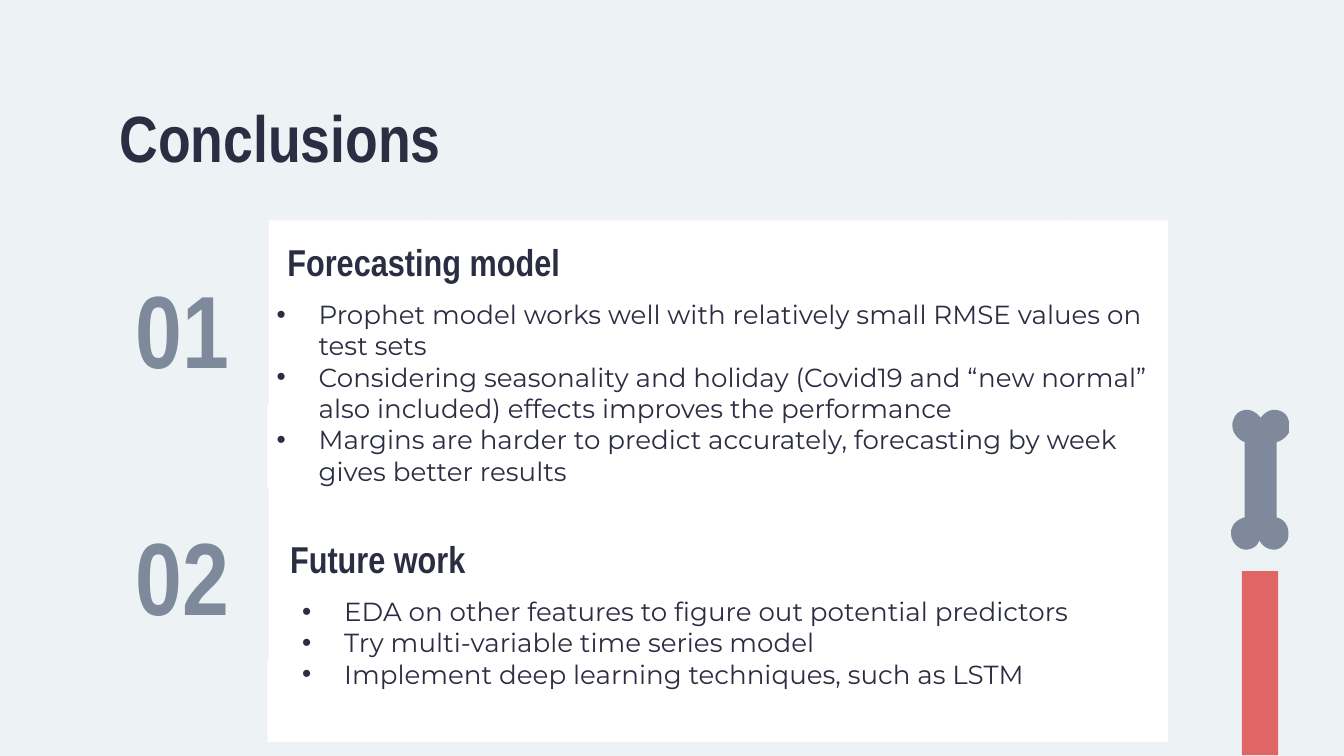
from lxml import etree
from pptx import Presentation
from pptx.dml.color import RGBColor
from pptx.enum.shapes import MSO_SHAPE
from pptx.enum.text import MSO_ANCHOR, PP_ALIGN
from pptx.oxml.ns import qn
from pptx.util import Inches, Pt

THEME = {
    "page": "EDF2F4", "panel": "FFFFFF", "ink": "2B2D42",
    "muted": "7E899C", "accent": "E06666",
    "title": {"name": "Arial Narrow", "size": Pt(35), "bold": True},
    "number": {"name": "Arial Narrow", "size": Pt(55), "bold": True},
    "heading": {"name": "Arial Narrow", "size": Pt(20), "bold": True},
    "body": {"name": "Montserrat", "size": Pt(14), "bold": False},
}

TITLE = ("Conclusions", (0.79, 0.62, 2.98, 0.62))
SECTIONS = [
    {
        "number": ("01", (0.81, 1.72, 1.09, 1.43)),
        "heading": ("Forecasting model", (2.04, 1.68, 6, 0.49)),
        "points": [
            "Prophet model works well with relatively small RMSE values on test sets",
            "Considering seasonality and holiday (Covid19 and “new normal” also included) "
            "effects improves the performance",
            "Margins are harder to predict accurately, forecasting by week gives better results",
        ],
        "points_at": (1.96, 2.12, 6.73, 0.84),
    },
    {
        "number": ("02", (0.81, 3.56, 1.09, 1.43)),
        "heading": ("Future work", (2.06, 3.89, 6.58, 0.82)),
        "points": [
            "EDA on other features to figure out potential predictors",
            "Try multi-variable time series model",
            "Implement deep learning techniques, such as LSTM",
        ],
        "points_at": (2.15, 4.33, 6.36, 0.84),
    },
]

# Each card row is a left, middle and right part; wide bands join the rows.
CARD_HEIGHT, CARD_TOPS = 1.43, (1.64, 3.48)
CARD_PARTS = [(2, 1.18), (3.16, 4.77), (7.92, 0.77)]
BAND_LEFT, BAND_WIDTH, BAND_HEIGHT = 1.99, 6.7, 0.62
BAND_TOPS = (3.01, 4.9)
BAR = (9.24, 4.25, 0.27, 1.37)

# One point is a straight side, three points are a Bézier curve.
BONE_START = (9.58, 4.02)
BONE = [
    [(9.6, 3.95), (9.58, 3.87), (9.5, 3.85)],
    [(9.5, 3.29)],
    [(9.54, 3.28), (9.57, 3.25), (9.59, 3.22)],
    [(9.59, 3.2), (9.59, 3.18), (9.59, 3.17)],
    [(9.6, 3.1), (9.55, 3.05), (9.48, 3.05)],
    [(9.44, 3.05), (9.4, 3.08), (9.38, 3.11)],
    [(9.36, 3.08), (9.32, 3.05), (9.28, 3.05)],
    [(9.23, 3.05), (9.19, 3.08), (9.18, 3.12)],
    [(9.17, 3.14), (9.17, 3.15), (9.17, 3.17)],
    [(9.17, 3.22), (9.21, 3.27), (9.26, 3.29)],
    [(9.26, 3.85)],
    [(9.22, 3.86), (9.18, 3.89), (9.17, 3.92)],
    [(9.16, 3.94), (9.16, 3.95), (9.16, 3.97)],
    [(9.16, 4.03), (9.21, 4.09), (9.27, 4.09)],
    [(9.32, 4.09), (9.36, 4.06), (9.37, 4.02)],
    [(9.39, 4.06), (9.43, 4.09), (9.48, 4.09)],
    [(9.53, 4.09), (9.56, 4.05), (9.58, 4.02)],
]
CURVE_STEPS = 8


def color(role):
    return RGBColor.from_string(THEME[role])


def paint(shape, role):
    shape.shadow.inherit = False
    shape.fill.solid()
    shape.fill.fore_color.rgb = color(role)
    shape.line.fill.background()


def add_block(page, place, role):
    block = page.shapes.add_shape(MSO_SHAPE.RECTANGLE, *map(Inches, place))
    paint(block, role)


def add_bullet(para):
    """Give the paragraph a hanging bullet."""
    properties = para._p.get_or_add_pPr()
    properties.set("marL", str(Pt(22.5)))
    properties.set("indent", str(-Pt(22.5)))
    bullet_color = etree.SubElement(properties, qn("a:buClr"))
    etree.SubElement(bullet_color, qn("a:srgbClr"), val=THEME["ink"])
    etree.SubElement(properties, qn("a:buFont"), typeface="Arial")
    etree.SubElement(properties, qn("a:buChar"), char="•")


def add_text(page, lines, place, style, role="ink", anchor=MSO_ANCHOR.TOP,
             align=PP_ALIGN.LEFT, bullets=False):
    frame = page.shapes.add_textbox(*map(Inches, place)).text_frame
    settings = {"word_wrap": True, "vertical_anchor": anchor}
    for side in ("left", "top", "right", "bottom"):
        settings[f"margin_{side}"] = Inches(0.1)
    for name, value in settings.items():
        setattr(frame, name, value)
    for index, line in enumerate(lines):
        para = frame.add_paragraph() if index else frame.paragraphs[0]
        para.alignment = align
        if bullets:
            add_bullet(para)
        span = para.add_run()
        span.text = line
        for name, value in THEME[style].items():
            setattr(span.font, name, value)
        span.font.color.rgb = color(role)


def curve_points(start, first, second, end):
    """Sample a cubic Bézier curve, leaving out its start."""
    for step in range(1, CURVE_STEPS + 1):
        t = step / CURVE_STEPS
        weights = ((1 - t) ** 3, 3 * t * (1 - t) ** 2, 3 * t * t * (1 - t), t ** 3)
        yield tuple(
            sum(weight * value for weight, value in zip(weights, axis))
            for axis in zip(start, first, second, end)
        )


def add_bone(page):
    points = [BONE_START]
    for side in BONE:
        points += side if len(side) == 1 else list(curve_points(points[-1], *side))
    start, *rest = [(Inches(x), Inches(y)) for x, y in points]
    builder = page.shapes.build_freeform(*start)
    builder.add_line_segments(rest, close=True)
    paint(builder.convert_to_shape(), "muted")


def main():
    deck = Presentation()
    deck.slide_width = Inches(10)
    deck.slide_height = deck.slide_width * 9 // 16
    page = deck.slides.add_slide(deck.slide_layouts[6])
    page.background.fill.solid()
    page.background.fill.fore_color.rgb = color("page")

    for top in CARD_TOPS:
        for left, width in CARD_PARTS:
            add_block(page, (left, top, width, CARD_HEIGHT), "panel")
    for top in BAND_TOPS:
        add_block(page, (BAND_LEFT, top, BAND_WIDTH, BAND_HEIGHT), "panel")
    add_block(page, BAR, "accent")
    add_bone(page)

    title, place = TITLE
    add_text(page, [title], place, "title")
    for section in SECTIONS:
        number, place = section["number"]
        add_text(page, [number], place, "number", "muted",
                 MSO_ANCHOR.MIDDLE, PP_ALIGN.CENTER)
        heading, place = section["heading"]
        add_text(page, [heading], place, "heading")
        add_text(page, section["points"], section["points_at"], "body", bullets=True)
    deck.save("out.pptx")


if __name__ == "__main__":
    main()
